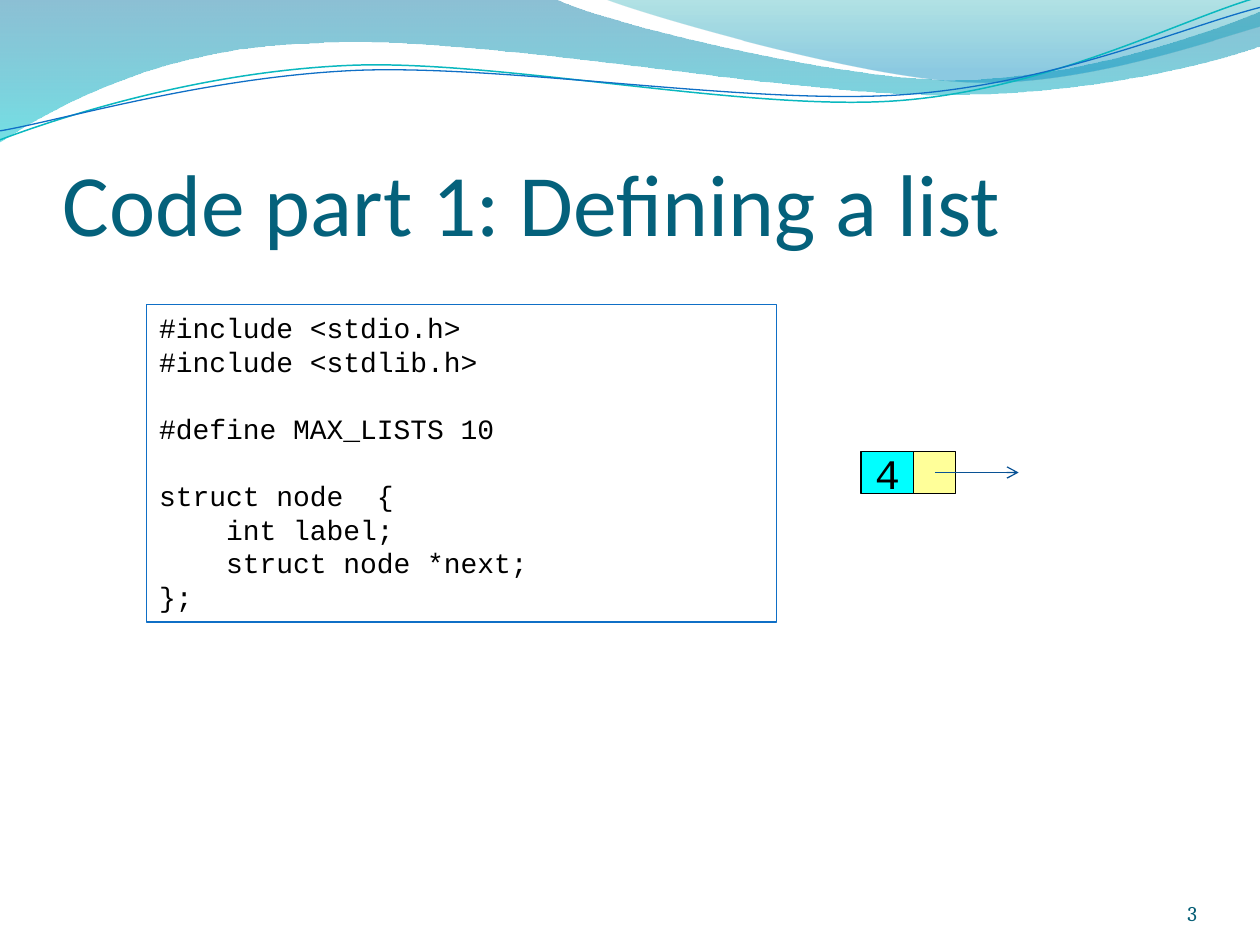
"""Build the slide that defines a linked list node in C."""
from dataclasses import dataclass
from math import cos, radians, sin
from typing import Optional

from lxml.etree import SubElement
from pptx import Presentation
from pptx.dml.color import RGBColor
from pptx.enum.shapes import MSO_CONNECTOR, MSO_SHAPE
from pptx.enum.text import MSO_ANCHOR, PP_ALIGN
from pptx.oxml.ns import qn
from pptx.util import Cm, Pt

Point = tuple[float, float]


@dataclass(frozen=True)
class Theme:
    title_color: str = "04617B"
    number_color: str = "045D75"
    ink: str = "000000"
    frame: str = "0F6FC6"
    teal_line: str = "0AB8BF"
    arrow: str = "095295"
    label_fill: str = "00FFFF"
    next_fill: str = "FFFF99"
    title_font: str = "Calibri"
    number_font: str = "Cambria"
    code_font: str = "Courier New"
    title_size: float = 50
    label_size: float = 24
    code_size: float = 16
    number_size: float = 12
    thin: float = 0.75


@dataclass(frozen=True)
class Stop:
    position: float
    color: str
    opacity: int


@dataclass(frozen=True)
class Box:
    left: float
    top: float
    width: float
    height: float
    fill: Optional[str] = None
    line: Optional[str] = None


@dataclass(frozen=True)
class Wave:
    box: Box
    start: Point
    segments: list[tuple[Point, ...]]
    stops: tuple[Stop, ...] = ()
    width: float = 0
    rotation: float = 0


@dataclass(frozen=True)
class CodeLine:
    text: str
    level: int = 0
    gap: bool = False


THEME = Theme()
LINE_HEIGHT = 19.2
INDENT = Cm(1.35)

WAVES = [
    Wave(Box(-0.03, -0.03, 25.46, 2.9), (0, 0), [
        ((11.18, -0.03),),
        ((12.09, 0.43), (16.87, 1.6), (19.25, 1.6)),
        ((21.67, 1.6), (24.33, 0.66), (25.4, 0.23)),
        ((25.43, 0.91),),
        ((24.97, 1.12), (22.1, 1.93), (18.95, 1.91)),
        ((15.8, 1.91), (9.7, 0.71), (6.53, 0.86)),
        ((3.28, 0.91), (1.17, 2.11), (-0.03, 2.87)),
        ((0, 0),),
    ], stops=(Stop(0, "0074A1", 45), Stop(1, "00C6CF", 55))),
    Wave(Box(12.17, -0.03, 13.23, 1.78), (12.17, -0.03), [
        ((12.93, 0.28), (17.32, 1.57), (19.53, 1.65)),
        ((21.74, 1.75), (24.41, 0.81), (25.4, 0.53)),
        ((25.4, 0),),
        ((12.17, -0.03),),
    ], stops=(Stop(0, "00A1A9", 30), Stop(0.8, "008BBF", 45))),
    Wave(Box(-0.05, 0.56, 25.45, 1.8, line=THEME.teal_line), (0, 2.82), [
        ((1.22, 2.36), (4.01, 1.45), (7.04, 1.32)),
        ((10.03, 1.19), (15.06, 2.26), (18.11, 2.03)),
        ((21.16, 1.8), (23.83, 0.38), (25.35, -0.05)),
    ], width=0.85, rotation=357.3),
    Wave(Box(-0.05, 0.76, 25.48, 1.47, line=THEME.frame), (0, 2.64), [
        ((1.19, 2.44), (4.17, 1.55), (7.19, 1.42)),
        ((10.24, 1.3), (15.16, 2.13), (18.21, 1.91)),
        ((21.23, 1.7), (23.9, 0.53), (25.4, 0.15)),
    ], width=THEME.thin, rotation=357.3),
]

CODE = [
    CodeLine("#include <stdio.h>"),
    CodeLine("#include <stdlib.h>"),
    CodeLine("#define MAX_LISTS 10", gap=True),
    CodeLine("struct node  {", gap=True),
    CodeLine("int label;", level=1),
    CodeLine("struct node *next;", level=1),
    CodeLine("};"),
]


def local_point(wave: Wave, point: Point) -> Point:
    """Convert a page point to the unrotated coordinates of the wave box."""
    half_width, half_height = wave.box.width / 2, wave.box.height / 2
    x = point[0] - wave.box.left - half_width
    y = point[1] - wave.box.top - half_height
    angle = radians(-wave.rotation)
    return (x * cos(angle) - y * sin(angle) + half_width,
            x * sin(angle) + y * cos(angle) + half_height)


def add_command(outline, name: str, wave: Wave, points: tuple[Point, ...]) -> None:
    """Append one drawing command to an outline."""
    command = SubElement(outline, qn(name))
    for point in points:
        x, y = local_point(wave, point)
        SubElement(command, qn("a:pt"), x=str(int(Cm(x))), y=str(int(Cm(y))))


def draw_wave(page, wave: Wave) -> None:
    """Draw one wave as a gradient band or a thin line."""
    box = wave.box
    builder = page.shapes.build_freeform(Cm(box.left), Cm(box.top), scale=1.0)
    builder.add_line_segments([(Cm(box.left + box.width), Cm(box.top + box.height))], close=False)
    shape = builder.convert_to_shape()
    shape.rotation = wave.rotation
    shape.shadow.inherit = False
    outline = next(shape.element.spPr.iter(qn("a:path")))
    for command in list(outline):
        outline.remove(command)
    add_command(outline, "a:moveTo", wave, (wave.start,))
    for segment in wave.segments:
        add_command(outline, "a:lnTo" if len(segment) == 1 else "a:cubicBezTo", wave, segment)
    if box.line:
        shape.fill.background()
        shape.line.color.rgb = RGBColor.from_string(box.line)
        shape.line.width = Pt(wave.width)
        return
    SubElement(outline, qn("a:close"))
    shape.line.fill.background()
    shape.fill.gradient()
    shape.fill.gradient_angle = 270
    for target, stop in zip(shape.fill.gradient_stops, wave.stops):
        target.position = stop.position
        target.color.rgb = RGBColor.from_string(stop.color)
    for color, stop in zip(shape.element.spPr.iter(qn("a:srgbClr")), wave.stops):
        SubElement(color, qn("a:alpha"), val=str(stop.opacity * 1000))


def draw_box(page, box: Box):
    """Draw a rectangle and return it."""
    shape = page.shapes.add_shape(
        MSO_SHAPE.RECTANGLE, Cm(box.left), Cm(box.top), Cm(box.width), Cm(box.height))
    shape.shadow.inherit = False
    if box.fill:
        shape.fill.solid()
        shape.fill.fore_color.rgb = RGBColor.from_string(box.fill)
    else:
        shape.fill.background()
    shape.line.color.rgb = RGBColor.from_string(box.line)
    shape.line.width = Pt(THEME.thin)
    return shape


def style(para, font: str, size: float, color: str, align=PP_ALIGN.LEFT) -> None:
    """Set the font and alignment of a paragraph."""
    para.alignment = align
    para.font.name = font
    para.font.size = Pt(size)
    para.font.color.rgb = RGBColor.from_string(color)


def draw_text(page, box: Box, text: str, font: str, size: float, color: str, align) -> None:
    """Draw a bottom-anchored text box without side margins."""
    frame = page.shapes.add_textbox(
        Cm(box.left), Cm(box.top), Cm(box.width), Cm(box.height)).text_frame
    frame.word_wrap = True
    frame.vertical_anchor = MSO_ANCHOR.BOTTOM
    frame.margin_left = frame.margin_right = frame.margin_bottom = 0
    frame.paragraphs[0].text = text
    style(frame.paragraphs[0], font, size, color, align)


def draw_code(page, box: Box, lines: list[CodeLine]) -> None:
    """Draw the framed code listing."""
    frame = draw_box(page, box).text_frame
    frame.word_wrap = True
    frame.vertical_anchor = MSO_ANCHOR.TOP
    for index, line in enumerate(lines):
        para = frame.add_paragraph() if index else frame.paragraphs[0]
        para.text = line.text
        style(para, THEME.code_font, THEME.code_size, THEME.ink)
        para.space_before = Pt(LINE_HEIGHT if line.gap else 0)
        if line.level:
            para._p.get_or_add_pPr().set("marL", str(INDENT * line.level))


def draw_node(page, left: float, top: float, label: str) -> None:
    """Draw a list node with its label, next field and arrow."""
    label_width, next_width, height = 1.06, 0.85, 0.85
    frame = draw_box(page, Box(left, top, label_width, height, THEME.label_fill, THEME.ink)).text_frame
    frame.word_wrap = False
    frame.vertical_anchor = MSO_ANCHOR.MIDDLE
    frame.paragraphs[0].text = label
    style(frame.paragraphs[0], THEME.code_font, THEME.label_size, THEME.ink, PP_ALIGN.CENTER)
    next_left = left + label_width
    draw_box(page, Box(next_left, top, next_width, height, THEME.next_fill, THEME.ink))
    start, middle = next_left + next_width / 2, top + height / 2
    arrow = page.shapes.add_connector(
        MSO_CONNECTOR.STRAIGHT, Cm(start), Cm(middle), Cm(start + 1.69), Cm(middle))
    arrow.line.color.rgb = RGBColor.from_string(THEME.arrow)
    arrow.line.width = Pt(THEME.thin)
    SubElement(arrow.line._get_or_add_ln(), qn("a:tailEnd"), type="arrow")
    SubElement(arrow._element.spPr, qn("a:effectLst"))


deck = Presentation()
deck.slide_width, deck.slide_height = Cm(25.4), Cm(19.05)
page = deck.slides.add_slide(deck.slide_layouts[6])
for wave in WAVES:
    draw_wave(page, wave)
draw_text(page, Box(1.27, 1.95, 22.86, 3.18), "Code part 1: Defining a list",
          THEME.title_font, THEME.title_size, THEME.title_color, PP_ALIGN.LEFT)
draw_text(page, Box(22.02, 17.65, 2.11, 1.02), "3",
          THEME.number_font, THEME.number_size, THEME.number_color, PP_ALIGN.RIGHT)
draw_code(page, Box(2.96, 6.14, 12.7, 6.4, line=THEME.frame), CODE)
draw_node(page, 17.36, 9.1, "4")
deck.save("out.pptx")
